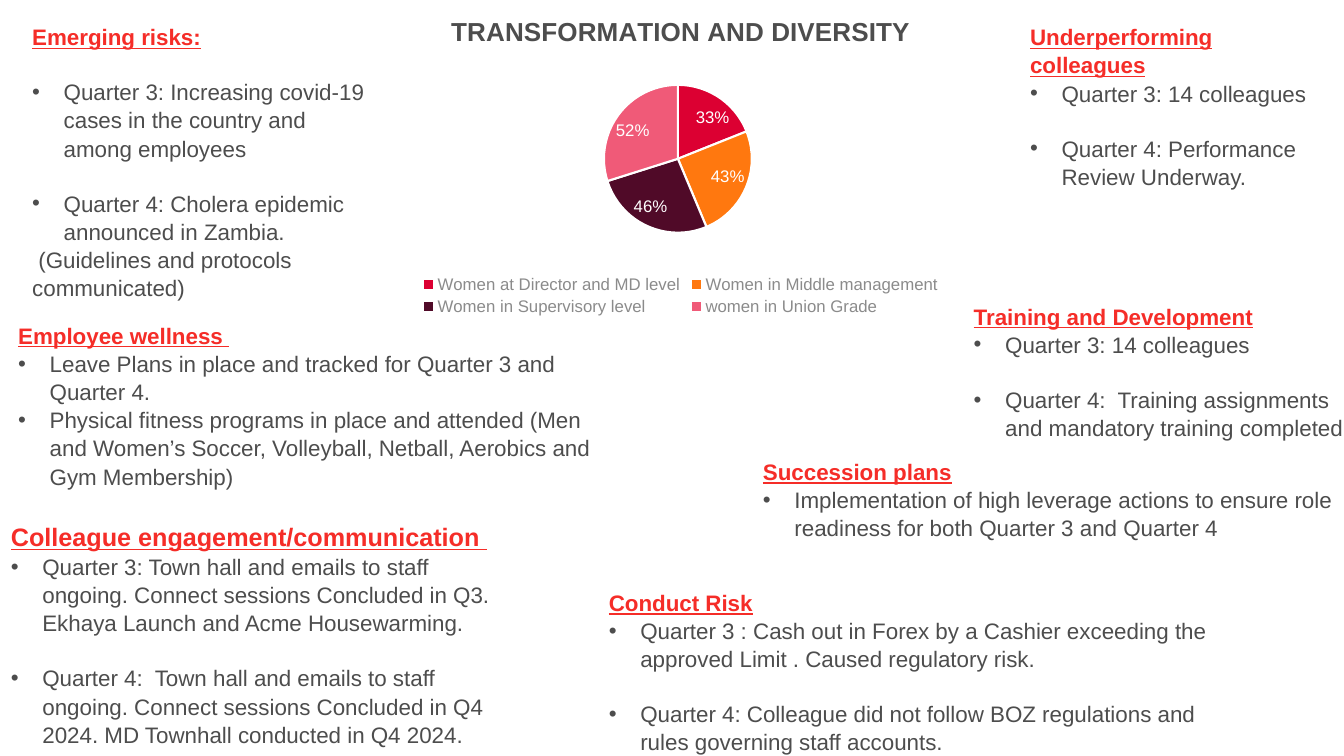
import pptx
import pptx.chart.data
import pptx.dml.color
import pptx.enum.chart
import pptx.oxml
import pptx.oxml.ns
import pptx.util

Pt = pptx.util.Pt
FONT = "Arial"
RED, GREY, LEGEND_GREY, WHITE = "F52D28", "4D4D4D", "8B8B8B", "FFFFFF"
INDENT = 22.5
BLANK_LINE = 19.2

LEVELS = [
    ("Women at Director and MD level", 0.33, "DC0032"),
    ("Women in Middle management", 0.43, "FF780F"),
    ("Women in Supervisory level", 0.46, "500A28"),
    ("women in Union Grade", 0.52, "F05A78"),
]

# Each item is (text, bulleted, space before).
SECTIONS = [
    ("Conduct Risk", 16, (434.9, 419.8, 440, 120), 0, [
        ("Quarter 3 : Cash out in Forex by a Cashier exceeding the approved Limit . "
         "Caused regulatory risk.", True, 0),
        ("Quarter 4: Colleague did not follow BOZ regulations and rules governing "
         "staff accounts.", True, BLANK_LINE)]),
    ("Underperforming colleagues", 16, (735.8, 15.8, 211, 170.6), 0, [
        ("Quarter 3: 14 colleagues", True, 0),
        ("Quarter 4: Performance Review Underway.", True, BLANK_LINE)]),
    ("Training and Development", 16, (695.5, 215.3, 277.2, 120), 0, [
        ("Quarter 3: 14 colleagues", True, 0),
        ("Quarter 4:  Training assignments and mandatory training completed",
         True, BLANK_LINE)]),
    ("Colleague engagement/communication ", 18, (0.7, 367.9, 376.6, 203.8), 7.2, [
        ("Quarter 3: Town hall and emails to staff ongoing. Connect sessions "
         "Concluded in Q3. Ekhaya Launch and Acme Housewarming.", True, 0),
        ("Quarter 4:  Town hall and emails to staff ongoing. Connect sessions "
         "Concluded in Q4 2024. MD Townhall conducted in Q4 2024.", True, BLANK_LINE)]),
    ("Employee wellness ", 16, (13, 229, 415.4, 139), 0, [
        ("Leave Plans in place and tracked for Quarter 3 and Quarter 4.", True, 0),
        ("Physical fitness programs in place and attended (Men and Women’s Soccer, "
         "Volleyball, Netball, Aerobics and Gym Membership)", True, 0)]),
    ("Emerging risks:", 16, (23, 15.8, 243.4, 196.6), 0, [
        ("Quarter 3: Increasing covid-19 cases in the country and among employees",
         True, BLANK_LINE),
        ("Quarter 4: Cholera epidemic announced in Zambia.", True, BLANK_LINE),
        (" (Guidelines and protocols communicated)", False, 0)]),
    ("Succession plans", 16, (545, 326.2, 440, 64.8), 0, [
        ("Implementation of high leverage actions to ensure role readiness for both "
         "Quarter 3 and Quarter 4", True, 0)]),
]


def rgb(color):
    """Return the colour for a hex string."""
    return pptx.dml.color.RGBColor.from_string(color)


def style_font(font, size, color, bold=False):
    """Set the face, size, colour and weight of a font."""
    font.name, font.size, font.bold = FONT, Pt(size), bold
    font.color.rgb = rgb(color)


def add_bullet(p):
    """Give a paragraph a hanging round bullet."""
    pPr = p._p.get_or_add_pPr()
    pPr.set("marL", str(Pt(INDENT)))
    pPr.set("indent", str(-Pt(INDENT)))
    ns = pptx.oxml.ns.nsdecls("a")
    pPr.append(pptx.oxml.parse_xml(f'<a:buFont {ns} typeface="{FONT}"/>'))
    pPr.append(pptx.oxml.parse_xml(f'<a:buChar {ns} char="•"/>'))


def add_section(s, heading, heading_size, box, inset, items):
    """Place an underlined red heading with its points in the box."""
    tf = s.shapes.add_textbox(*map(Pt, box)).text_frame
    tf.word_wrap = True
    tf.margin_left = tf.margin_right = Pt(inset)
    tf.margin_top = tf.margin_bottom = Pt(inset / 2)
    p = tf.paragraphs[0]
    p.text = heading
    p.line_spacing = 1.05
    style_font(p.runs[0].font, heading_size, RED, True)
    p.runs[0].font.underline = True
    for text, bulleted, gap in items:
        p = tf.add_paragraph()
        p.text = text
        p.line_spacing = 1.05
        p.space_before = Pt(gap)
        if bulleted:
            add_bullet(p)
        style_font(p.runs[0].font, 16, GREY)


def set_plot_layout(chart, x, y, w, h):
    """Fix the inner plot area as fractions of the chart."""
    plot_area = chart._chartSpace.chart.plotArea
    for old in plot_area.findall(pptx.oxml.ns.qn("c:layout")):
        plot_area.remove(old)
    values = "".join(f'<c:{k} val="{v}"/>' for k, v in zip("xywh", (x, y, w, h)))
    plot_area.insert(0, pptx.oxml.parse_xml(
        f'<c:layout {pptx.oxml.ns.nsdecls("c")}><c:manualLayout>'
        '<c:layoutTarget val="inner"/><c:xMode val="edge"/><c:yMode val="edge"/>'
        f'{values}</c:manualLayout></c:layout>'))


def add_diversity_chart(s, box):
    """Place the titled pie of women per level in the box."""
    data = pptx.chart.data.CategoryChartData(number_format="0%")
    data.categories = [name for name, _, _ in LEVELS]
    data.add_series("Series 1", [value for _, value, _ in LEVELS])
    chart = s.shapes.add_chart(
        pptx.enum.chart.XL_CHART_TYPE.PIE, *map(Pt, box), data).chart
    style_font(chart.font, 10, GREY)
    tf = chart.chart_title.text_frame
    tf.text = "TRANSFORMATION AND DIVERSITY"
    style_font(tf.paragraphs[0].runs[0].font, 18.6, GREY, True)
    chart.has_legend = True
    chart.legend.position = pptx.enum.chart.XL_LEGEND_POSITION.BOTTOM
    chart.legend.include_in_layout = False
    style_font(chart.legend.font, 12, LEGEND_GREY)
    plot = chart.plots[0]
    plot.vary_by_categories = True
    for i, (_, _, color) in enumerate(LEVELS):
        slice_format = plot.series[0].points[i].format
        slice_format.fill.solid()
        slice_format.fill.fore_color.rgb = rgb(color)
        slice_format.line.color.rgb = rgb(WHITE)
        slice_format.line.width = Pt(1.5)
    labels = plot.series[0].data_labels
    labels.show_value = True
    labels.number_format, labels.number_format_is_linked = "0%", False
    labels.position = pptx.enum.chart.XL_LABEL_POSITION.BEST_FIT
    style_font(labels.font, 12, WHITE)
    set_plot_layout(chart, 0.37, 0.27, 0.25, 0.46)


def main():
    """Build the slide and save it."""
    prs = pptx.Presentation()
    prs.slide_width, prs.slide_height = Pt(960), Pt(540)
    s = prs.slides.add_slide(prs.slide_layouts[6])
    for section in SECTIONS:
        add_section(s, *section)
    add_diversity_chart(s, (273.6, -1.4, 425.5, 229.7))
    prs.save("out.pptx")


if __name__ == "__main__":
    main()
